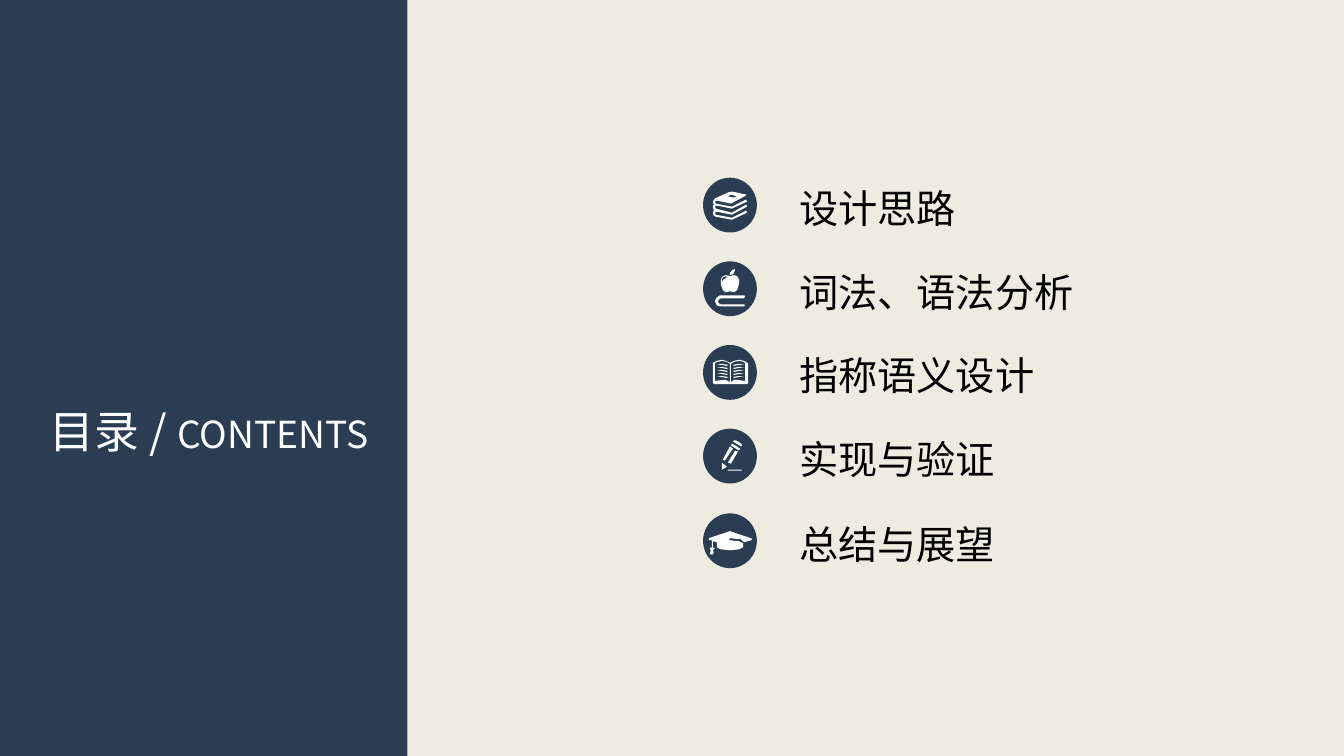
from pptx import Presentation
from pptx.dml.color import RGBColor
from pptx.enum.shapes import MSO_SHAPE
from pptx.enum.text import MSO_ANCHOR, MSO_AUTO_SIZE, PP_ALIGN
from pptx.oxml.ns import qn
from pptx.util import Pt
from lxml.etree import SubElement

PX = 9144  # EMU in one px, 100 px to the inch
NAVY = RGBColor(0x2A, 0x3D, 0x52)
CREAM = RGBColor(0xEE, 0xEC, 0xE1)
WHITE = RGBColor(0xFF, 0xFF, 0xFF)
BLACK = RGBColor(0x00, 0x00, 0x00)
FONT = "Noto Sans CJK SC"

DISC_LEFT, DISC_WIDTH, DISC_HEIGHT = 698, 52, 53
FIRST_TOP, LAST_TOP = 177, 510
LABEL_LEFT, LABEL_HEIGHT = 783, 57

# Icon outlines: px from the top left corner of the disc.
# An icon is a list of shapes, a shape is a list of closed contours.
BOOK_STACK = [[
    [(28, 36), (43, 28), (42, 26), (28, 34), (12, 30), (11, 28), (13, 27),
     (28, 30), (43, 23), (42, 21), (28, 28), (12, 25), (11, 23), (13, 22),
     (27, 25), (42, 17), (42, 16), (28, 13), (24, 14), (11, 20), (9, 23),
     (10, 26), (9, 28), (10, 32), (9, 34), (10, 37), (12, 38), (28, 41),
     (43, 34), (42, 32), (28, 39), (12, 36), (11, 34), (13, 33)],
    [(27, 16), (33, 18), (30, 19), (24, 18)],
]]
APPLE_ON_BOOK = [[
    [(41, 43), (40, 44), (16, 44), (13, 43), (11, 39), (13, 35), (16, 33),
     (40, 33), (41, 34), (40, 36), (17, 36), (15, 37), (14, 39), (15, 41),
     (17, 42), (40, 42)],
    [(26, 13), (29, 12), (31, 8), (31, 7), (28, 8), (26, 11)],
    [(35, 17), (33, 14), (30, 13), (26, 14), (22, 13), (19, 14), (17, 17),
     (17, 22), (19, 28), (22, 30), (26, 29), (30, 30), (33, 28), (35, 22)],
    [(22, 16), (19, 18), (19, 19), (18, 19), (18, 18), (19, 15), (22, 14),
     (23, 15)],
]]
BOOK_COVER = [
    [(43, 17), (40, 15), (35, 14), (30, 15), (26, 17), (22, 15), (18, 14),
     (13, 15), (9, 17), (9, 37), (10, 38), (43, 38), (44, 37), (44, 17)],
    [(26, 18), (26, 36), (22, 34), (18, 34), (11, 35), (11, 17), (14, 16),
     (18, 15), (23, 16)],
    [(41, 17), (41, 35), (34, 34), (30, 34), (27, 36), (27, 18), (30, 16),
     (35, 15), (39, 16)],
]
PAGE_LINE = [(13, 19), (18, 18), (24, 19), (23, 20), (18, 19)]
PENCIL = [[
    [(30, 11), (32, 11), (37, 14), (38, 16), (37, 17), (29, 12)],
    [(28, 14), (27, 16), (35, 21), (36, 19)],
    [(18, 40), (18, 33), (23, 37)],
    [(19, 30), (26, 17), (29, 19), (21, 31)],
    [(24, 33), (31, 21), (34, 22), (27, 34)],
    [(24, 40), (37, 40), (38, 41), (24, 41)],
]]
GRADUATION_CAP = [[
    [(5, 24), (26, 17), (47, 24), (48, 25), (47, 26), (40, 28), (37, 25),
     (26, 24), (25, 25), (26, 26), (35, 27), (39, 29), (39, 33), (35, 35),
     (26, 36), (17, 35), (13, 33), (13, 28), (9, 27), (9, 33), (11, 34),
     (9, 36), (10, 38), (9, 40), (6, 40), (7, 36), (6, 34), (8, 33),
     (8, 26), (5, 26)],
]]


def open_book():
    """Cover with five text lines on the left page, mirrored on the right."""
    shapes = [BOOK_COVER]
    for drop in range(0, 15, 3):
        shapes.append([[(x, y + drop) for x, y in PAGE_LINE]])
        shapes.append([[(53 - x, y + drop) for x, y in PAGE_LINE]])
    return shapes


CONTENTS = [
    ("设计思路", 177, BOOK_STACK),
    ("词法、语法分析", 298, APPLE_ON_BOOK),
    ("指称语义设计", 254, open_book()),
    ("实现与验证", 217, PENCIL),
    ("总结与展望", 217, GRADUATION_CAP),
]


def px(*lengths):
    return [length * PX for length in lengths]


def paint(shape, color, outlined=False):
    shape.shadow.inherit = False
    shape.fill.solid()
    shape.fill.fore_color.rgb = color
    if outlined:
        shape.line.color.rgb = color
        shape.line.width = Pt(1)
    else:
        shape.line.fill.background()


def add_span(para, text, size, color):
    span = para.add_run()
    span.text = text
    span.font.size = Pt(size)
    span.font.color.rgb = color
    span.font.name = FONT
    SubElement(span._r.get_or_add_rPr(), qn("a:ea"), typeface=FONT)


def format_frame(box, wrap, align):
    frame = box.text_frame
    frame.word_wrap = wrap
    frame.auto_size = MSO_AUTO_SIZE.SHAPE_TO_FIT_TEXT
    frame.vertical_anchor = MSO_ANCHOR.TOP
    para = frame.paragraphs[0]
    para.alignment = align
    return para


def add_label(page, text, top, width):
    box = page.shapes.add_textbox(*px(LABEL_LEFT, top, width, LABEL_HEIGHT))
    add_span(format_frame(box, False, PP_ALIGN.LEFT), text, 28, BLACK)


def add_badge(page, top, icon):
    """Navy disc with a white icon, as one group."""
    group = page.shapes.add_group_shape()
    disc = group.shapes.add_shape(
        MSO_SHAPE.OVAL, *px(DISC_LEFT, top, DISC_WIDTH, DISC_HEIGHT))
    paint(disc, NAVY, outlined=True)
    for contours in icon:
        builder = group.shapes.build_freeform(*contours[0][0], scale=PX)
        builder.add_line_segments(contours[0][1:], close=True)
        for contour in contours[1:]:
            builder.move_to(*contour[0])
            builder.add_line_segments(contour[1:], close=True)
        paint(builder.convert_to_shape(*px(DISC_LEFT, top)), WHITE)


def add_title_panel(page):
    title = page.shapes.title
    panel = page.shapes.add_shape(MSO_SHAPE.RECTANGLE, *px(0, 0, 404, 750))
    paint(panel, NAVY)
    title.element.addprevious(panel.element)
    title.left, title.top, title.width, title.height = px(25, 396, 365, 64)
    para = format_frame(title, True, PP_ALIGN.CENTER)
    add_span(para, "目录 / ", 32, WHITE)
    add_span(para, "CONTENTS", 26.6, WHITE)


def main():
    deck = Presentation()
    deck.slide_width, deck.slide_height = px(1333, 750)
    page = deck.slides.add_slide(deck.slide_layouts[5])
    page.background.fill.solid()
    page.background.fill.fore_color.rgb = CREAM
    add_title_panel(page)
    for row, (text, width, icon) in enumerate(CONTENTS):
        top = FIRST_TOP + (LAST_TOP - FIRST_TOP) * row // (len(CONTENTS) - 1)
        add_label(page, text, top + 1, width)
        add_badge(page, top, icon)
    deck.save("out.pptx")


if __name__ == "__main__":
    main()
